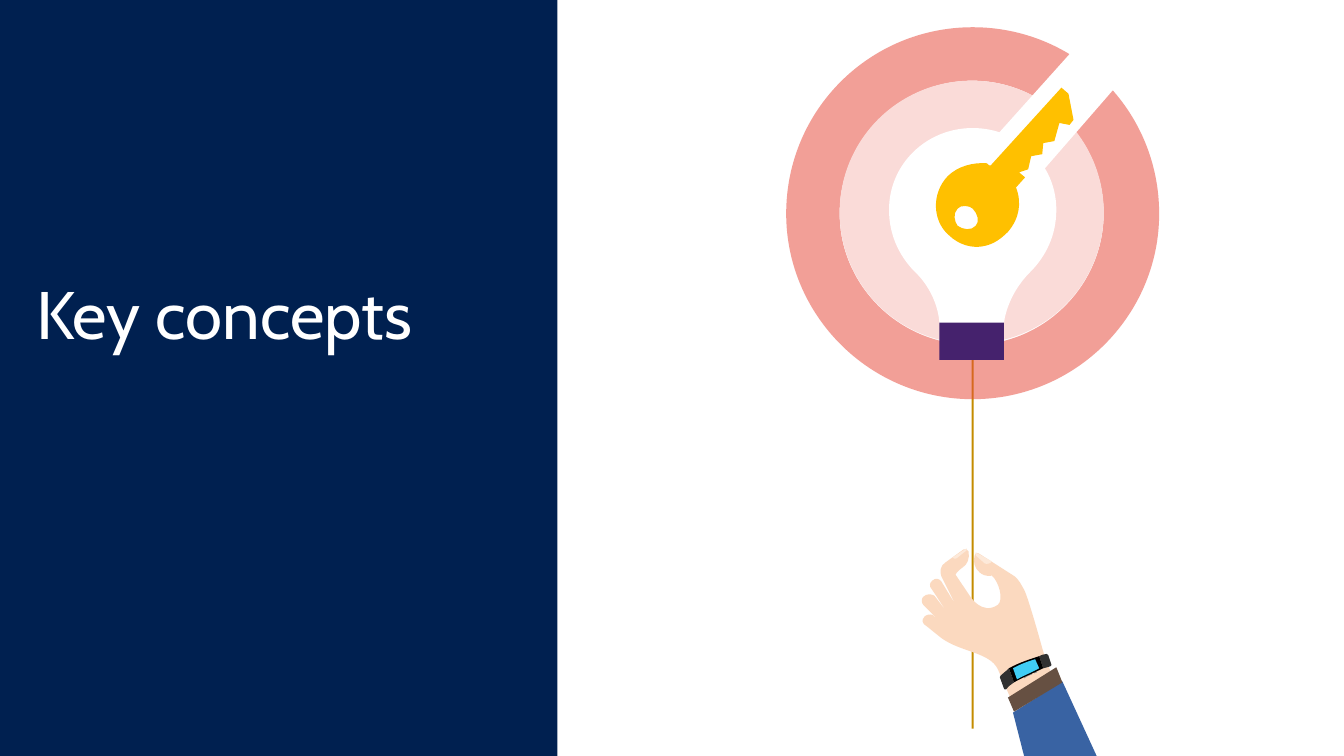
from pptx import Presentation
from pptx.dml.color import RGBColor
from pptx.enum.shapes import MSO_SHAPE
from pptx.oxml.xmlchemy import OxmlElement
from pptx.util import Emu, Pt

RECTANGLE = MSO_SHAPE.RECTANGLE
OVAL = MSO_SHAPE.OVAL

PX = 9144
PAGE_HEIGHT = 750
COLORS = {
    "navy": "002050", "white": "FFFFFF", "string": "C48C00", "coral": "E74B3C",
    "blush": "FADBD8", "purple": "45226D", "skin": "FBD9BF", "nail": "FDE9D9",
    "sleeve": "3963A3", "cuff": "665042", "strap": "313131", "black": "000000",
    "shine": "969696", "screen": "40CDF5", "gold": "FFC000",
}

RING = (
    "M965,342 C892,342,833,283,833,212 C833,139,892,80,965,80 "
    "C1036,80,1095,139,1095,212 C1095,283,1036,342,965,342 "
    "M965,27 C863,27,780,109,780,212 C780,313,863,396,965,396 "
    "C1067,396,1150,313,1150,212 C1150,109,1067,27,965,27"
)
BULB = (
    "M1048,208 C1048,163,1011,127,965,127 C919,127,882,163,882,208 "
    "C882,233,892,253,906,268 C932,292,932,321,932,321 L963,334 L963,335 "
    "L966,335 L966,334 L996,321 C996,321,998,294,1022,270 "
    "C1038,254,1048,233,1048,208"
)
HAND = (
    "M916,592 C914,594,914,598,916,600 L933,617 L925,610 "
    "C923,609,918,610,917,612 C914,615,915,619,919,621 L934,633 "
    "C953,647,982,647,990,664 L1008,705 L1048,680 "
    "C1040,661,1035,647,1034,643 C1019,589,1016,585,1016,585 L1012,578 "
    "C1010,575,1009,574,1007,572 L971,549 C970,548,968,548,967,551 "
    "C965,557,967,564,972,568 C978,573,984,571,984,571 "
    "C991,577,996,595,990,600 C974,611,962,591,962,591 L948,570 "
    "C949,567,955,563,955,563 C960,560,962,554,961,547 "
    "C960,545,958,544,956,545 L938,558 C933,561,932,567,934,572 L948,600 "
    "L934,577 C932,574,928,573,925,576 C922,578,922,582,924,584 L940,608 "
    "L927,591 C924,589,919,589,916,592"
)
SLEEVE = "M1016,750 L1088,750 L1054,676 L1005,707"
INDEX_NAIL = "M959,546 L949,554 C948,555,946,554,945,553 L959,544"
THUMB_NAIL = "M968,551 L977,559 C979,560,983,559,984,557 L968,548"
CUFF = "M1000,692 L1006,706 L1054,677 L1048,662"
LONG_SHINE = "M1023,668 C1021,670,1018,671,1016,672 L1016,673 C1019,671,1021,670,1024,669"
SHORT_SHINE = "M1029,666 C1028,666,1027,667,1026,667 L1026,668 C1027,668,1028,667,1029,667"
LEFT_STRAP = (
    "M993,670 C995,668,998,666,1001,663 L1006,677 "
    "C1002,680,1000,681,998,684 C997,684,996,684,996,683 L992,672 "
    "C992,672,992,671,993,670"
)
RIGHT_STRAP = (
    "M1031,651 C1033,650,1035,649,1037,649 C1038,648,1039,649,1040,650 "
    "L1043,659 C1043,660,1043,661,1042,661 C1040,662,1038,662,1035,663"
)
BAND = (
    "M1031,651 L1035,663 C1025,668,1013,673,1006,677 L1001,663 "
    "C1012,657,1022,654,1031,651"
)
SCREEN = (
    "M1009,674 L1005,663 C1014,658,1021,656,1027,654 L1031,663 "
    "C1024,667,1016,670,1009,674"
)
NOTCH = "M963,163 L1077,36 L1131,102 L1121,70 L1021,185"
KEY = (
    "M965,207 C970,212,972,220,968,224 C964,229,955,228,950,224 "
    "C947,220,945,212,950,207 C953,203,962,204,965,207 "
    "M941,233 C951,243,965,247,977,244 C986,242,993,237,1000,230 "
    "C1011,217,1014,202,1008,186 L1017,176 L1011,171 L1020,168 L1023,155 "
    "L1034,153 L1035,142 L1046,140 L1051,122 L1061,124 L1065,119 L1060,93 "
    "L1053,87 L983,164 C982,165,981,164,979,162 "
    "C965,161,950,165,940,175 C924,192,925,219,941,233"
)


class SlidePainter:
    def __init__(self, page, font):
        self.page = page
        self.font = font

    def color(self, name):
        return RGBColor.from_string(COLORS[name])

    def background(self, color):
        fill = self.page.background.fill
        fill.solid()
        fill.fore_color.rgb = self.color(color)

    def paint(self, shape, color, opacity=100):
        shape.shadow.inherit = False
        shape.line.fill.background()
        shape.fill.solid()
        shape.fill.fore_color.rgb = self.color(color)
        if opacity < 100:
            alpha = OxmlElement("a:alpha")
            alpha.set("val", str(opacity * 1000))
            shape.fill._xPr.find(".//{*}srgbClr").append(alpha)

    def preset(self, kind, bounds, color):
        shape = self.page.shapes.add_shape(kind, *(Emu(value * PX) for value in bounds))
        self.paint(shape, color)

    def outline(self, drawing, color, opacity=100):
        contours = []
        commands = []
        for token in drawing.split():
            numbers = [int(number) * PX for number in token[1:].split(",")]
            points = list(zip(numbers[::2], numbers[1::2]))
            if token[0] == "M":
                contours.append(points)
            else:
                contours[-1].extend(points)
                commands.append(token[0])
        builder = self.page.shapes.build_freeform(*contours[0][0])
        builder.add_line_segments(contours[0][1:], close=True)
        for start, *points in contours[1:]:
            builder.move_to(*start)
            builder.add_line_segments(points, close=True)
        shape = builder.convert_to_shape()
        self.bend(shape, commands)
        self.paint(shape, color, opacity)

    def bend(self, shape, commands):
        segments = iter(shape._element.findall(".//{*}lnTo"))
        for command in commands:
            segment = next(segments)
            if command == "C":
                curve = OxmlElement("a:cubicBezTo")
                segment.addprevious(curve)
                for part in (segment, next(segments), next(segments)):
                    curve.append(part[0])
                    part.getparent().remove(part)

    def text(self, bounds, words, size, color):
        box = self.page.shapes.add_textbox(*(Emu(value * PX) for value in bounds))
        frame = box.text_frame
        frame.word_wrap = True
        frame.margin_left = frame.margin_right = Emu(20 * PX)
        frame.margin_top = frame.margin_bottom = Emu(16 * PX)
        para = frame.paragraphs[0]
        para.line_spacing = 0.9
        para.space_after = Pt(6)
        span = para.add_run()
        span.text = words
        span.font.name = self.font
        span.font.size = Pt(size)
        span.font.color.rgb = self.color(color)


def main():
    deck = Presentation()
    deck.slide_height = Emu(PAGE_HEIGHT * PX)
    deck.slide_width = Emu(deck.slide_height * 16 // 9)
    page = deck.slides.add_slide(deck.slide_layouts[6])
    painter = SlidePainter(page, "Cabin")

    painter.background("navy")
    painter.text((16, 263, 537, 260), "Key concepts", 48, "white")
    painter.preset(RECTANGLE, (553, 0, 781, PAGE_HEIGHT), "white")
    painter.preset(RECTANGLE, (964, 298, 2, 425), "string")
    painter.outline(RING, "coral", 53)
    painter.preset(OVAL, (833, 80, 262, 261), "blush")
    painter.outline(BULB, "white")
    painter.preset(RECTANGLE, (932, 320, 64, 37), "purple")

    for drawing, color in (
        (HAND, "skin"), (SLEEVE, "sleeve"), (INDEX_NAIL, "nail"),
        (THUMB_NAIL, "nail"), (CUFF, "cuff"), (LONG_SHINE, "shine"),
        (SHORT_SHINE, "shine"), (LEFT_STRAP, "strap"), (RIGHT_STRAP, "strap"),
        (BAND, "black"), (SCREEN, "screen"), (NOTCH, "white"), (KEY, "gold"),
    ):
        painter.outline(drawing, color)

    deck.save("out.pptx")


if __name__ == "__main__":
    main()
